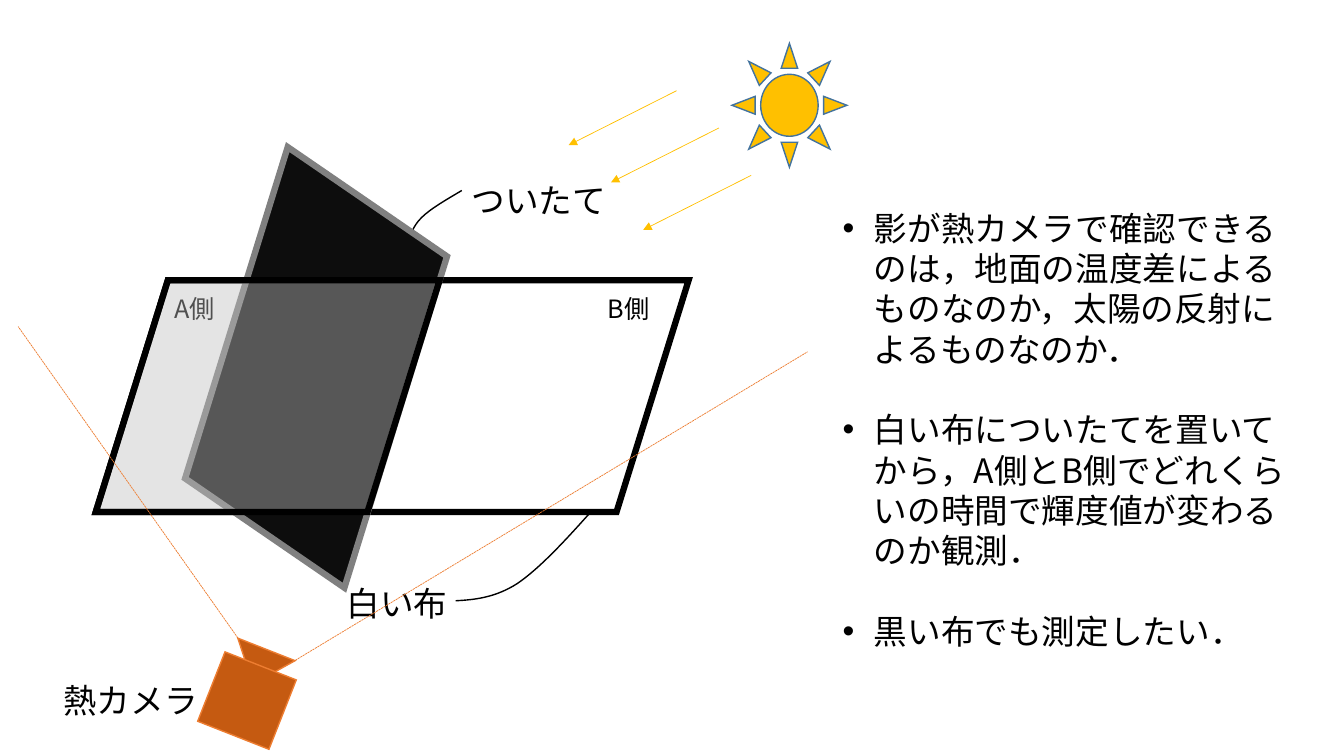
from pptx import Presentation
from pptx.dml.color import RGBColor as RGB
from pptx.enum.dml import MSO_LINE as DASH
from pptx.enum.shapes import MSO_CONNECTOR as CONN, MSO_SHAPE as SHAPE
from pptx.enum.text import MSO_ANCHOR as ANCHOR
from pptx.oxml.ns import qn
from pptx.oxml.xmlchemy import OxmlElement as Element
from pptx.util import Inches, Pt

FONT = "Noto Sans CJK JP"
LINE_RATIO = 1.2
COLORS = {
    "black": "000000", "white": "FFFFFF", "screen": "0D0D0D", "frame": "808080",
    "shade": "BFBFBF", "sun": "FFC000", "sun_edge": "43739E",
    "camera": "C55A11", "view": "ED7D31",
}
QUESTIONS = [
    "影が熱カメラで確認できるのは，地面の温度差によるものなのか，太陽の反射によるものなのか．",
    "白い布についたてを置いてから，A側とB側でどれくらいの時間で輝度値が変わるのか観測．",
    "黒い布でも測定したい．",
]


def rgb(name):
    """Return the named colour."""
    return RGB.from_string(COLORS[name])


def add_child(parent, tag, **attrs):
    """Append an XML element with attributes and return it."""
    child = Element(tag)
    for key, value in attrs.items():
        child.set(key, str(value))
    parent.append(child)
    return child


def style_line(line, color, width):
    """Set the colour and width of a line."""
    line.color.rgb = rgb(color)
    line.width = Pt(width)


def add_figure(s, kind, box, fill, edge, width=1, rotation=0, adj=None, alpha=None):
    """Add a filled preset shape."""
    sp = s.shapes.add_shape(kind, *map(Inches, box))
    sp.shadow.inherit = False
    sp.rotation = rotation
    if adj is not None:
        sp.adjustments[0] = adj
    sp.fill.solid()
    sp.fill.fore_color.rgb = rgb(fill)
    if alpha is not None:
        color = sp.fill._xPr.find(qn("a:solidFill"))[0]
        add_child(color, "a:alpha", val=alpha * 1000)
    style_line(sp.line, edge, width)
    add_child(sp.line._get_or_add_ln(), "a:miter", lim=800000)
    return sp


def add_sheet(s, box, fill, edge, **options):
    """Add a thick-edged slanted sheet."""
    return add_figure(s, SHAPE.PARALLELOGRAM, box, fill, edge, 4.5, adj=0.311, **options)


def add_ray(s, start, end, color, arrow=False):
    """Add a thin ray, with an arrowhead or dashed."""
    cn = s.shapes.add_connector(CONN.STRAIGHT, *map(Inches, start + end))
    style_line(cn.line, color, 0.5)
    if arrow:
        add_child(cn.line._get_or_add_ln(), "a:tailEnd", type="triangle")
    else:
        cn.line.dash_style = DASH.SQUARE_DOT
        cn.line._get_or_add_ln().find(qn("a:prstDash")).set("val", "sysDash")
    add_child(cn._element.spPr, "a:effectLst")


def add_leader(s, points):
    """Add a curved leader through cubic Bezier control points."""
    start, *controls = [(Inches(x), Inches(y)) for x, y in points]
    fb = s.shapes.build_freeform(*start)
    fb.add_line_segments(controls, close=False)
    sp = fb.convert_to_shape()
    sp.shadow.inherit = False
    sp.fill.background()
    style_line(sp.line, "black", 1)
    steps = list(sp._element.iter(qn("a:lnTo")))
    for i in range(0, len(steps), 3):
        curve = Element("a:cubicBezTo")
        steps[i].addprevious(curve)
        for step in steps[i:i + 3]:
            curve.append(step[0])
            step.getparent().remove(step)


def add_text(s, box, lines, size=24, bullets=False):
    """Add a text box with one paragraph per line."""
    tf = s.shapes.add_textbox(*map(Inches, box)).text_frame
    tf.word_wrap = True
    tf.vertical_anchor = ANCHOR.TOP
    pitch = Pt(size * LINE_RATIO)
    for i, text in enumerate(lines):
        p = tf.paragraphs[0] if i == 0 else tf.add_paragraph()
        p.line_spacing = pitch
        if i:
            p.space_before = pitch
        if bullets:
            pPr = p._p.get_or_add_pPr()
            pPr.set("marL", str(Inches(0.31)))
            pPr.set("indent", str(-Inches(0.31)))
            add_child(pPr, "a:buFont", typeface="Arial")
            add_child(pPr, "a:buChar", char="•")
        r = p.add_run()
        r.text = text
        for key, value in {"name": FONT, "size": Pt(size)}.items():
            setattr(r.font, key, value)
        r.font.color.rgb = rgb("black")
        add_child(r._r.get_or_add_rPr(), "a:ea", typeface=FONT)


def main():
    """Build the thermal camera experiment slide."""
    prs = Presentation()
    prs.slide_width, prs.slide_height = Inches(13.33), Inches(7.5)
    s = prs.slides.add_slide(prs.slide_layouts[6])

    add_sheet(s, (0.95, 2.78, 5.88, 2.3), "white", "black")
    add_text(s, (3.34, 5.73, 1.69, 0.5), ["白い布"])
    add_leader(s, [(5.85, 5.09), (5.6, 5.37), (5.35, 5.64), (5.13, 5.79),
                   (4.91, 5.93), (4.71, 5.95), (4.52, 5.96)])
    add_text(s, (4.58, 1.74, 1.79, 0.5), ["ついたて"])
    add_leader(s, [(4.58, 1.89), (4.43, 1.98), (4.27, 2.07), (4.18, 2.16),
                   (4.09, 2.25), (4.07, 2.34), (4.04, 2.43)])
    add_sheet(s, (1.13, 2.73, 4.01, 1.83), "screen", "frame", rotation=287.2)

    add_figure(s, SHAPE.SUN, (7.26, 0.43, 1.14, 1.23), "sun", "sun_edge")
    for x, y in [(6.71, 0.9), (7.13, 1.27), (7.45, 1.74)]:
        add_ray(s, (x, y), (x - 1.07, y + 0.54), "sun", arrow=True)

    for x, side in [(1.63, "A側"), (5.93, "B側")]:
        add_text(s, (x, 2.86, 0.66, 0.37), [side], size=18)
    add_sheet(s, (0.95, 2.78, 3.41, 2.3), "shade", "black", alpha=42)

    add_figure(s, SHAPE.ISOSCELES_TRIANGLE, (2.27, 6.43, 0.61, 0.37),
               "camera", "view", rotation=201.5)
    add_figure(s, SHAPE.RECTANGLE, (2.08, 6.57, 0.74, 0.76),
               "camera", "view", rotation=291.5)
    add_ray(s, (2.36, 6.33), (0.18, 3.24), "view")
    add_ray(s, (2.93, 6.55), (8.01, 3.49), "view")

    add_text(s, (8.26, 2.01, 4.74, 4.54), QUESTIONS, bullets=True)
    add_text(s, (0.53, 6.7, 1.69, 0.5), ["熱カメラ"])
    prs.save("out.pptx")


main()
